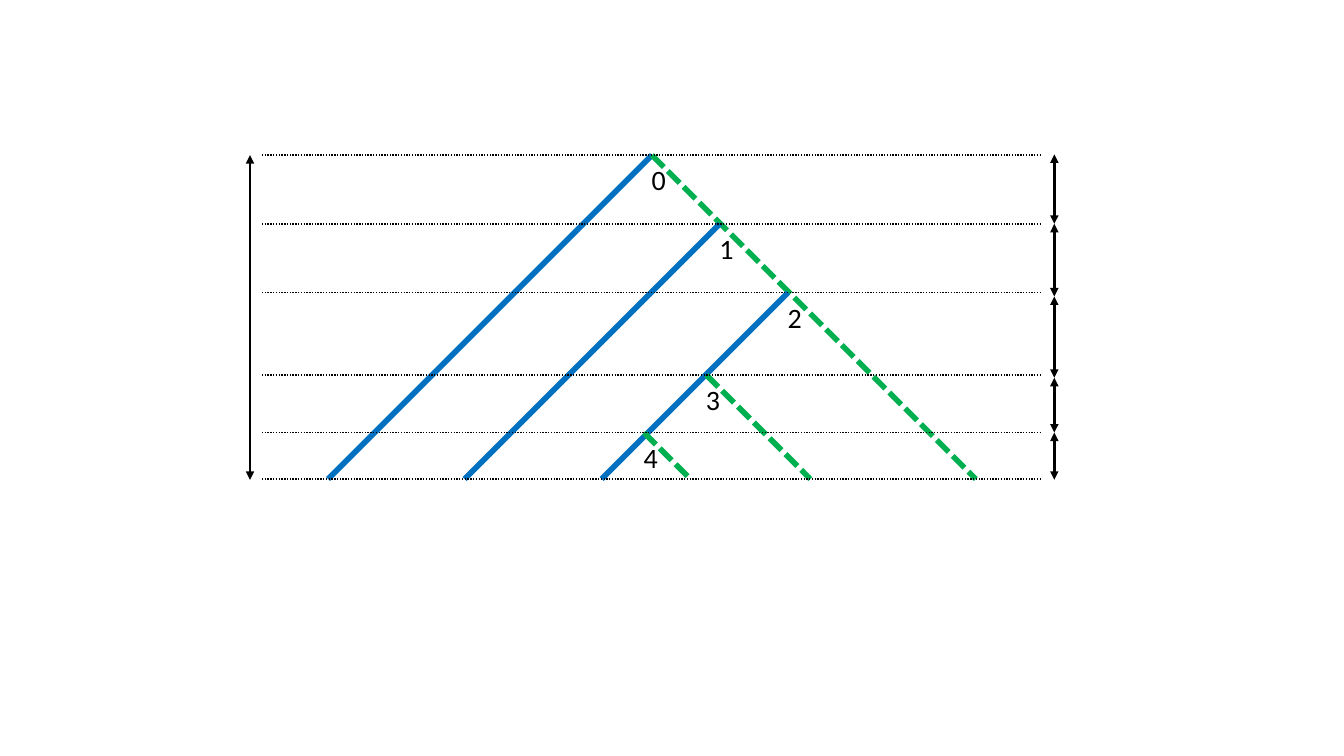
import pptx
import pptx.util
import pptx.dml.color
import pptx.enum.dml
import pptx.enum.shapes
import pptx.enum.text
import pptx.oxml.ns
from lxml import etree

Cm = pptx.util.Cm
SOLID = pptx.enum.dml.MSO_LINE.SOLID
DASHED = pptx.enum.dml.MSO_LINE.SQUARE_DOT
DOTTED = pptx.enum.dml.MSO_LINE.ROUND_DOT

BLACK, BLUE, GREEN = "000000", "0070C0", "00B050"


def colour(value):
    return pptx.dml.color.RGBColor.from_string(value)


def write(frame, text, font="Calibri", size=20, fill=BLACK,
          align=pptx.enum.text.PP_ALIGN.CENTER):
    paragraph = frame.paragraphs[0]
    paragraph.alignment = align
    run = paragraph.add_run()
    run.text = text
    run.font.name = font
    run.font.size = pptx.util.Pt(size)
    run.font.color.rgb = colour(fill)


class TreeSlide:
    """Holds the drawing style and the current slide; lengths are in cm."""

    label_width, label_height = 0.61, 1.12

    def __init__(self, deck):
        self.slide = deck.slides.add_slide(deck.slide_layouts[6])

    def line(self, start, end, fill=BLACK, width=1, dash=SOLID):
        x1, y1, x2, y2 = (Cm(v) for v in (*start, *end))
        line = self.slide.shapes.add_connector(
            pptx.enum.shapes.MSO_CONNECTOR.STRAIGHT, x1, y1, x2, y2)
        line.line.color.rgb = colour(fill)
        line.line.width = pptx.util.Pt(width)
        line.line.dash_style = dash
        properties = line._element.spPr
        etree.SubElement(properties, pptx.oxml.ns.qn("a:effectLst"))
        return line

    def span_arrow(self, x, top, bottom):
        span = self.line((x, top), (x, bottom), width=2)
        outline = span._element.spPr.find(pptx.oxml.ns.qn("a:ln"))
        for tip in ("a:headEnd", "a:tailEnd"):
            etree.SubElement(outline, pptx.oxml.ns.qn(tip), type="triangle")

    def label(self, text, left, top):
        label = self.slide.shapes.add_textbox(
            Cm(left), Cm(top), Cm(self.label_width), Cm(self.label_height))
        label.text_frame.word_wrap = True
        label.text_frame.auto_size = pptx.enum.text.MSO_AUTO_SIZE.SHAPE_TO_FIT_TEXT
        write(label.text_frame, text)


def main():
    deck = pptx.Presentation()
    deck.slide_width, deck.slide_height = Cm(33.87), Cm(19.05)
    tree = TreeSlide(deck)

    # Branching nodes: position and the colours of the branches they start
    base = 12.07
    nodes = [
        (16.43, 3.91, (BLUE, GREEN)),
        (18.14, 5.64, (BLUE,)),
        (19.86, 7.37, (BLUE,)),
        (17.8, 9.45, (GREEN,)),
        (16.23, 10.9, (GREEN,)),
    ]

    # Branches at 45 degrees: blue to the left, dashed green to the right
    for x, y, branches in nodes:
        for fill in branches:
            side, dash = (-1, SOLID) if fill == BLUE else (1, DASHED)
            tree.line((x, y), (x + side * (base - y), base), fill, 4, dash)

    # Dotted level lines
    for level in [y for _, y, _ in nodes] + [base]:
        tree.line((6.6, level), (26.26, level), dash=DOTTED)

    # Total height on the left, intervals on the right
    tree.span_arrow(6.3, 3.91, 12.09)
    ticks = [3.89, 5.64, 7.47, 9.52, 10.9, 12.09]
    for top, bottom in zip(ticks, ticks[1:]):
        tree.span_arrow(26.57, top, bottom)

    # Node numbers
    for number, (x, y, _) in enumerate(nodes):
        tree.label(str(number), x - 0.26, y + 0.07)

    deck.save("out.pptx")


if __name__ == "__main__":
    main()
